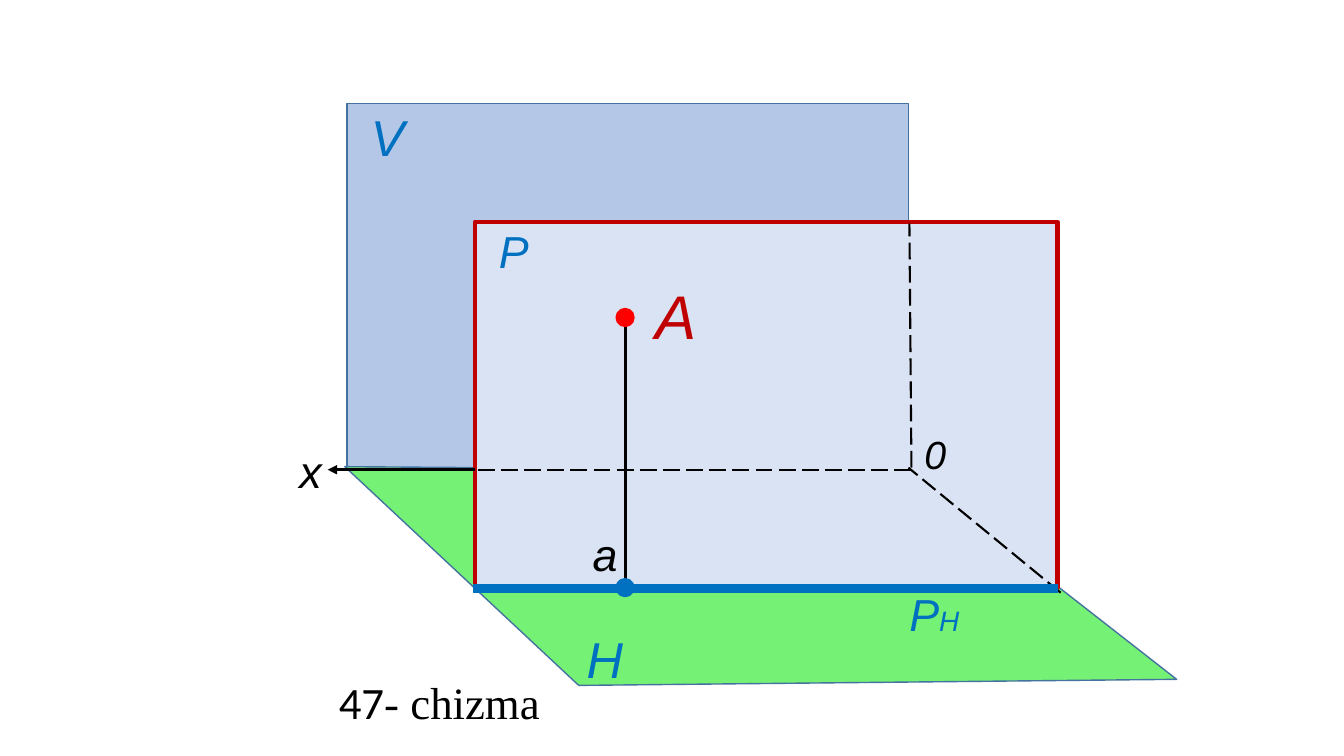
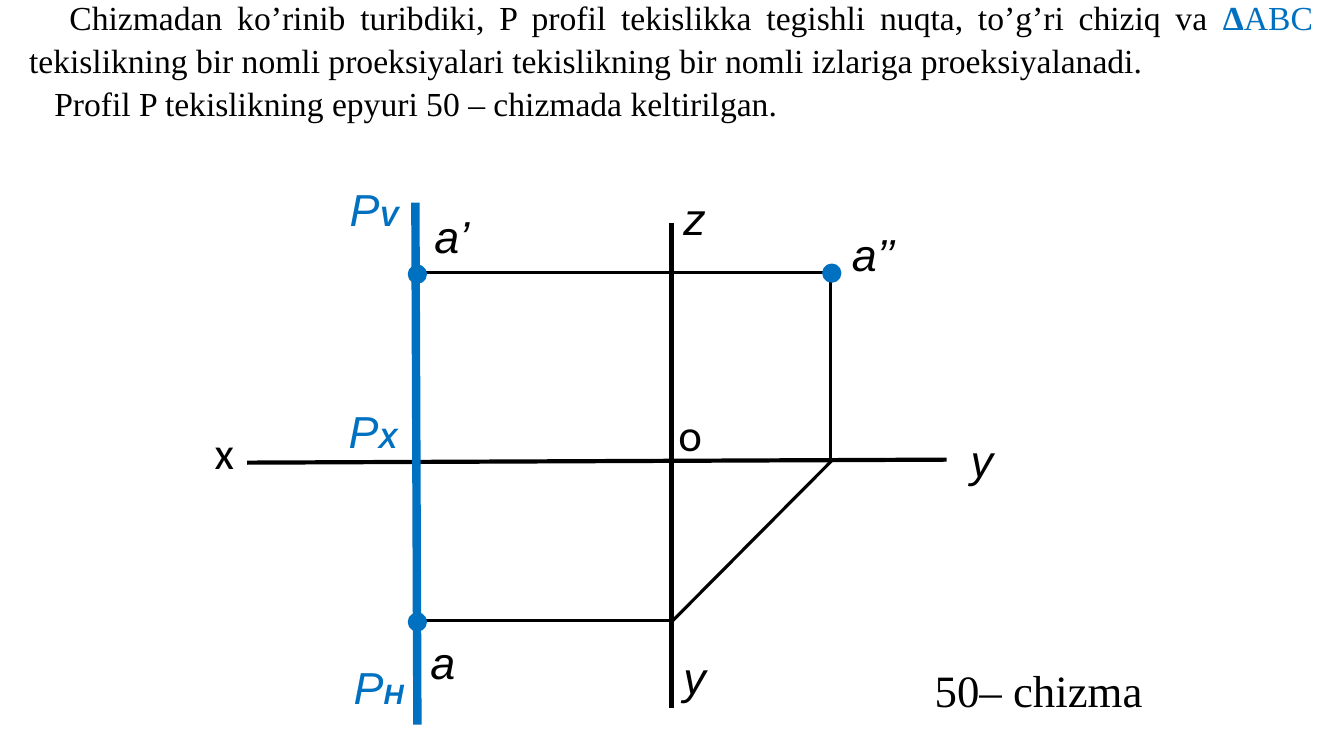
from pptx import Presentation
from pptx.dml.color import RGBColor
from pptx.enum.dml import MSO_LINE
from pptx.enum.shapes import MSO_CONNECTOR, MSO_SHAPE
from pptx.enum.text import MSO_ANCHOR, MSO_AUTO_SIZE, PP_ALIGN
from pptx.oxml.ns import qn
from pptx.util import Pt
from lxml.etree import SubElement

PX = 9144
BLACK, BLUE, RED = "000000", "0070C0", "C00000"
EDGE = "43739E"
SANS, SERIF, PLAIN = "Arial", "Times New Roman", "Calibri"


def emu(*nums):
    return [round(n * PX) for n in nums]


def tint(hue):
    return RGBColor.from_string(hue)


class Sheet:
    """Hold the style and the current slide, and draw each kind of element."""

    def __init__(self):
        self.deck = Presentation()
        self.deck.slide_width, self.deck.slide_height = emu(1333, 750)

    def start(self, x, y, *parts):
        self.slide = self.deck.slides.add_slide(self.deck.slide_layouts[5])
        self.shapes = self.slide.shapes
        title = self.shapes.title
        title.left, title.top, title.width, title.height = emu(x, y, 260, 64)
        frame = title.text_frame
        frame.auto_size = MSO_AUTO_SIZE.NONE
        frame.vertical_anchor = MSO_ANCHOR.TOP
        para = frame.paragraphs[0]
        para.alignment = PP_ALIGN.LEFT
        self.style(para.font, SERIF, 32, BLACK)
        for text, font in parts:
            run = para.add_run()
            run.text = text
            if font != SERIF:
                run.font.name = font

    def style(self, font, name, size, hue):
        font.name, font.size = name, Pt(size)
        font.color.rgb = tint(hue)

    def paint(self, shape, fill, edge, width):
        shape.shadow.inherit = False
        shape.fill.solid()
        shape.fill.fore_color.rgb = tint(fill)
        shape.line.color.rgb = tint(edge)
        shape.line.width = Pt(width)

    def rect(self, x, y, w, h, fill, edge, width):
        shape = self.shapes.add_shape(MSO_SHAPE.RECTANGLE, *emu(x, y, w, h))
        self.paint(shape, fill, edge, width)

    def dot(self, x, y, hue=BLUE):
        shape = self.shapes.add_shape(MSO_SHAPE.OVAL, *emu(x - 8, y - 8, 16, 16))
        self.paint(shape, hue, hue, 2.25)

    def plane(self, first, *rest, fill):
        form = self.shapes.build_freeform(*first, scale=PX)
        form.add_line_segments(rest, close=True)
        self.paint(form.convert_to_shape(), fill, EDGE, 1)

    def line(self, x1, y1, x2, y2, width=2.25, hue=BLACK, dash=False, arrow=False):
        link = self.shapes.add_connector(MSO_CONNECTOR.STRAIGHT, *emu(x1, y1, x2, y2))
        link.line.color.rgb = tint(hue)
        link.line.width = Pt(width)
        if dash:
            link.line.dash_style = MSO_LINE.LONG_DASH
        props = link._element.spPr
        if arrow:
            SubElement(props.find(qn("a:ln")), qn("a:tailEnd"), type="triangle")
        SubElement(props, qn("a:effectLst"))

    def box(self, x, y, w, h):
        frame = self.shapes.add_textbox(*emu(x, y, w, h)).text_frame
        frame.word_wrap = True
        return frame

    def label(self, x, y, text, hue=BLACK, size=32, font=SANS, sub="", bold=None):
        para = self.box(x, y, 90, size * 2).paragraphs[0]
        self.style(para.font, font, size, hue)
        para.font.italic = font == SANS
        para.add_run().text = text
        if sub:
            run = para.add_run()
            run.text = sub
            run.font.size, run.font.bold = Pt(20), bold

    def prose(self, x, y, w, h, *paras):
        frame = self.box(x, y, w, h)
        for i, (indent, parts) in enumerate(paras):
            para = frame.add_paragraph() if i else frame.paragraphs[0]
            para.alignment = PP_ALIGN.JUSTIFY
            para.line_spacing = 1.07
            para._p.get_or_add_pPr().set("indent", str(emu(indent)[0]))
            self.style(para.font, SERIF, 24, BLACK)
            for text, hue, bold in parts:
                run = para.add_run()
                run.text = text
                if hue != BLACK:
                    run.font.color.rgb = tint(hue)
                if bold:
                    run.font.bold = True


def space(sheet):
    """Draw the planes in space with point A and its trace."""
    sheet.start(326, 664, ("47", PLAIN), ("- chizma", SERIF))
    sheet.rect(344, 103, 557, 363, "B4C7E7", EDGE, 1)
    sheet.plane((342, 463), (902, 467), (1167, 674), (574, 680), fill="75F175")
    sheet.rect(471, 220, 578, 363, "DAE3F3", RED, 3)
    for ends in ((904, 464, 902, 222), (1052, 588, 901, 464), (474, 466, 904, 466)):
        sheet.line(*ends, width=1.5, dash=True)
    sheet.line(471, 466, 325, 466, arrow=True)
    sheet.line(620, 584, 620, 316)
    sheet.line(469, 584, 1049, 584, 6, BLUE)
    sheet.dot(620, 583)
    sheet.dot(620, 315, "FF0000")
    sheet.label(358, 100, "V", BLUE, 36)
    sheet.label(572, 618, "H", BLUE, 36)
    sheet.label(485, 217, "P", BLUE)
    sheet.label(892, 577, "P", BLUE, sub="H")
    sheet.label(640, 271, "A", RED, 44)
    sheet.label(907, 422, "0", size=28)
    sheet.label(287, 435, "x")
    sheet.label(578, 518, "a")


def views(sheet):
    """Draw the flat views of the point on the profile plane."""
    sheet.start(917, 652, ("50– chizma", SERIF))
    sheet.line(245, 459, 939, 456, 3)
    sheet.line(666, 221, 666, 702, 3)
    for ends in (
        (420, 616, 667, 616),
        (824, 456, 824, 274),
        (419, 270, 829, 270),
        (667, 616, 825, 457),
    ):
        sheet.line(*ends)
    sheet.line(412, 201, 414, 719, 6, BLUE)
    for x, y in ((414, 617), (414, 272), (825, 271)):
        sheet.dot(x, y)
    for x, y, text in (
        (421, 202, "a’"),
        (835, 220, "a’’"),
        (417, 625, "a"),
        (668, 640, "y"),
        (953, 424, "y"),
        (668, 184, "z"),
    ):
        sheet.label(x, y, text)
    for x, y, text in ((663, 399, "o"), (203, 416, "x")):
        sheet.label(x, y, text, font=PLAIN)
    for x, y, sub in ((341, 650, "H"), (337, 175, "V"), (336, 396, "X")):
        sheet.label(x, y, "P", BLUE, sub=sub, bold=True)
    sheet.prose(
        19, -11, 1293, 172,
        (40, (
            ("Chizmadan ko’rinib turibdiki, P profil tekislikka tegishli nuqta, "
             "to’g’ri chiziq va ", BLACK, False),
            ("Δ", BLUE, True),
            ("ABC ", BLUE, False),
            ("tekislikning bir nomli proeksiyalari tekislikning bir nomli "
             "izlariga proeksiyalanadi.", BLACK, False),
        )),
        (25, (("Profil P tekislikning epyuri 50 – chizmada keltirilgan.", BLACK, False),)),
    )


def main():
    """Build both slides and save the deck."""
    sheet = Sheet()
    space(sheet)
    views(sheet)
    sheet.deck.save("out.pptx")


if __name__ == "__main__":
    main()
